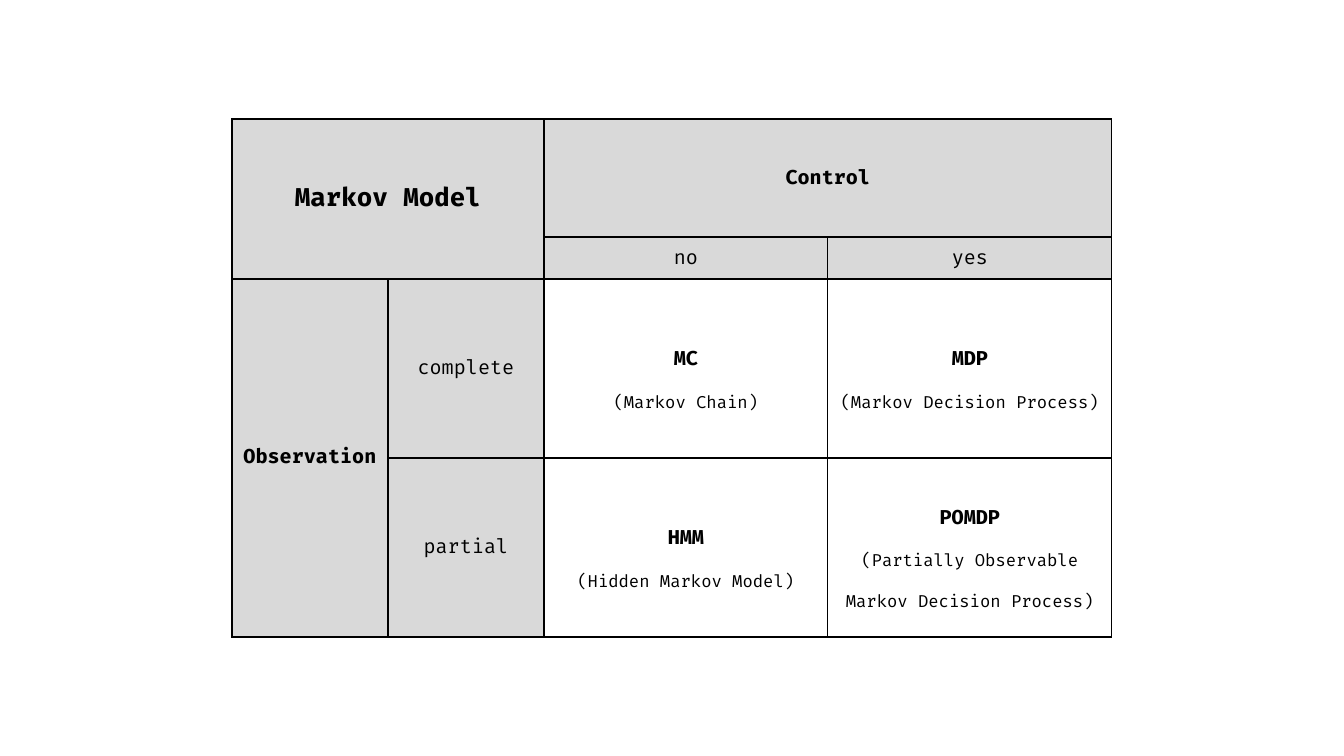
from lxml import etree
from pptx import Presentation
from pptx.dml.color import RGBColor
from pptx.enum import text
from pptx.oxml import ns
from pptx.util import Pt

PX = 914400 / 100.8
BLACK = RGBColor(0x00, 0x00, 0x00)
GREY = RGBColor(0xD9, 0xD9, 0xD9)
FONT = "Fira Code"
COLUMNS = [156, 156, 284, 284]
ROWS = [118, 42, 179, 179]
HEADERS = [
    (0, 0, 2, 2, "Markov Model", 18, True),
    (0, 2, 1, 2, "Control", 14, True),
    (1, 2, 1, 1, "no", 14, False),
    (1, 3, 1, 1, "yes", 14, False),
    (2, 0, 2, 1, "Observation", 14, True),
    (2, 1, 1, 1, "complete", 14, False),
    (3, 1, 1, 1, "partial", 14, False),
]
MODELS = [
    (2, 2, "MC", "(Markov Chain)"),
    (2, 3, "MDP", "(Markov Decision Process)"),
    (3, 2, "HMM", "(Hidden Markov Model)"),
    (3, 3, "POMDP", "(Partially Observable Markov Decision Process)"),
]


def px(length):
    """Turn a length in px into EMU."""
    return round(length * PX)


def write(para, words, size=14, bold=False, spacing=None):
    """Write centred words into a paragraph."""
    para.alignment = text.PP_ALIGN.CENTER
    para.line_spacing = spacing
    span = para.add_run()
    span.text = words
    span.font.name = FONT
    span.font.size = Pt(size)
    span.font.bold = bold
    span.font.color.rgb = BLACK


def add_borders(cell):
    """Draw a thin black line on each side of a cell."""
    properties = cell._tc.get_or_add_tcPr()
    for index, side in enumerate(("lnL", "lnR", "lnT", "lnB")):
        line = etree.Element(ns.qn(f"a:{side}"), w=str(Pt(1)))
        fill = etree.SubElement(line, ns.qn("a:solidFill"))
        etree.SubElement(fill, ns.qn("a:srgbClr"), val=str(BLACK))
        properties.insert(index, line)


def add_model_table(page, left, top):
    """Place the table of Markov models with its corner at left, top."""
    frame = page.shapes.add_table(len(ROWS), len(COLUMNS), px(left), px(top),
                                  px(sum(COLUMNS)), px(sum(ROWS)))
    table = frame.table
    table.first_row = table.horz_banding = False
    for column, width in zip(table.columns, COLUMNS):
        column.width = px(width)
    for row, height in zip(table.rows, ROWS):
        row.height = px(height)
    for cell in table.iter_cells():
        cell.vertical_anchor = text.MSO_ANCHOR.MIDDLE
        cell.fill.background()
        add_borders(cell)

    for row, column, height, width, words, size, bold in HEADERS:
        cell = table.cell(row, column)
        if height * width > 1:
            cell.merge(table.cell(row + height - 1, column + width - 1))
        cell.fill.solid()
        cell.fill.fore_color.rgb = GREY
        write(cell.text_frame.paragraphs[0], words, size=size, bold=bold)

    for row, column, short, full in MODELS:
        body = table.cell(row, column).text_frame
        write(body.paragraphs[0], short, bold=True, spacing=2.0)
        write(body.add_paragraph(), full, size=12, spacing=2.0)


def main():
    """Build the deck and save it."""
    deck = Presentation()
    deck.slide_width, deck.slide_height = px(1344), px(756)
    page = deck.slides.add_slide(deck.slide_layouts[6])
    add_model_table(page, left=232, top=119)
    deck.save("out.pptx")


if __name__ == "__main__":
    main()
